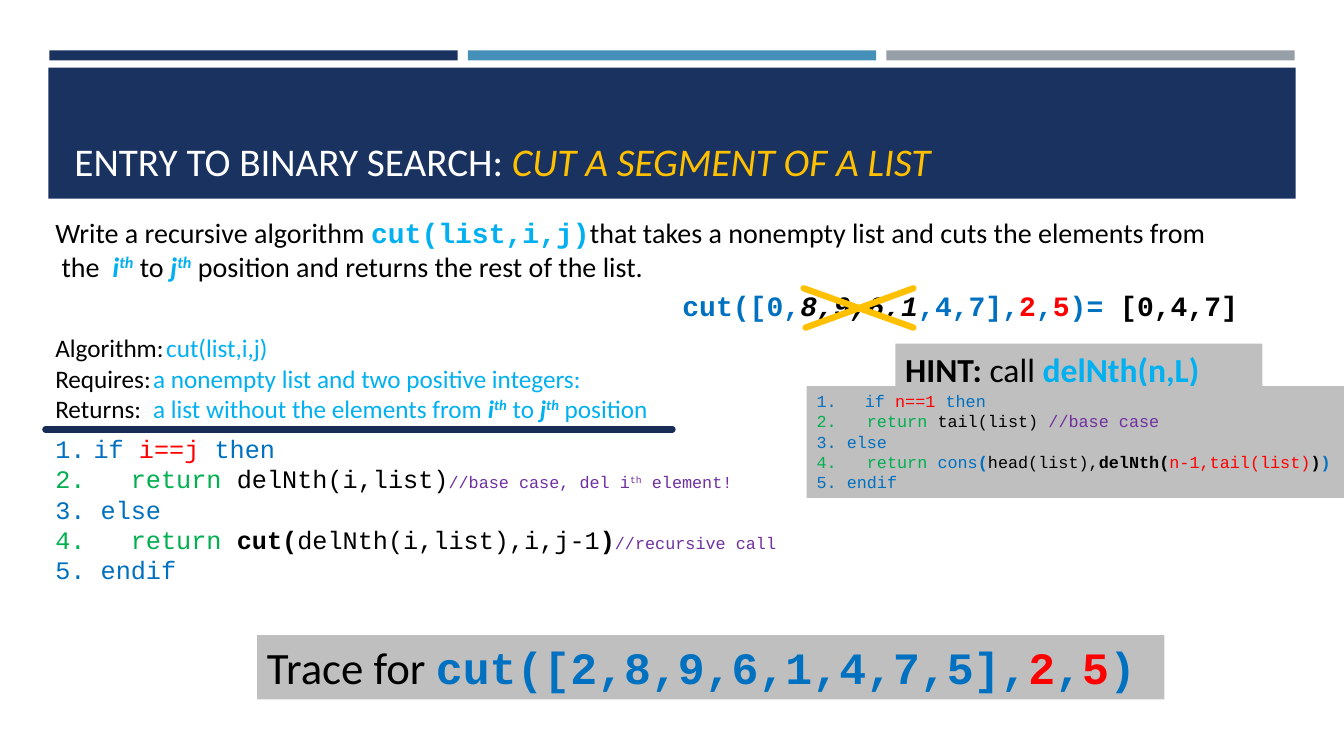
from lxml.etree import SubElement as Sub
from pptx import Presentation
from pptx.dml.color import RGBColor
from pptx.enum.shapes import MSO_CONNECTOR as Conn, MSO_SHAPE as Shape
from pptx.enum.text import MSO_ANCHOR as Anchor, MSO_AUTO_SIZE as Fit, PP_ALIGN as Align
from pptx.oxml.ns import qn
from pptx.util import Inches, Pt

NAVY, BLACK, WHITE, GREY = "1A3260", "000000", "FFFFFF", "BFBFBF"
GOLD, SKY, BLUE, RED = "FFC000", "00B0F0", "0070C0", "FF0000"
GREEN, PLUM = "00B050", "7030A0"


def color(code):
    return RGBColor.from_string(code)


def bar(slide, x, y, w, h, fill):
    shape = slide.shapes.add_shape(Shape.RECTANGLE, Inches(x), Inches(y), Inches(w), Inches(h))
    shape.shadow.inherit = False
    shape.fill.solid()
    shape.fill.fore_color.rgb = color(fill)
    shape.line.fill.background()
    return shape


def stroke(slide, x, y, end, low, tint):
    line = slide.shapes.add_connector(Conn.STRAIGHT, Inches(x), Inches(y), Inches(end), Inches(low))
    line.line.color.rgb = color(tint)
    line.line.width = Pt(4.5)
    line.line._get_or_add_ln().set("cap", "rnd")
    Sub(line._element.spPr, qn("a:effectLst"))


def number(par):
    props = par._p.get_or_add_pPr()
    props.set("marL", str(Inches(0.38)))
    props.set("indent", str(-Inches(0.38)))
    Sub(props, qn("a:buFont"), typeface="+mj-lt")
    Sub(props, qn("a:buAutoNum"), type="arabicPeriod")


def write(shape, lines, size, face="Calibri", listed=False):
    frame = shape.text_frame
    frame.word_wrap = False
    frame.auto_size = Fit.SHAPE_TO_FIT_TEXT
    frame.vertical_anchor = Anchor.TOP
    for row, runs in enumerate(lines):
        par = frame.paragraphs[0] if row == 0 else frame.add_paragraph()
        par.alignment = Align.LEFT
        if listed and row == 0:
            number(par)
        for words, tint, *rest in runs:
            flags = rest[0] if rest else ""
            run = par.add_run()
            run.text = words
            font = run.font
            font.name = "Courier New" if "m" in flags else face
            font.size = Pt(12 if "s" in flags else size)
            font.bold = "b" in flags
            font.italic = "i" in flags
            font.color.rgb = color(tint)
            if "^" in flags:
                font._element.set("baseline", "30000")


def label(slide, x, y, w, h, lines, size, **style):
    box = slide.shapes.add_textbox(Inches(x), Inches(y), Inches(w), Inches(h))
    write(box, lines, size, **style)
    return box


def panel(slide, x, y, w, h, lines, size, **style):
    write(bar(slide, x, y, w, h, GREY), lines, size, **style)


def header(slide, x, y, w):
    for col, tint in enumerate((NAVY, "4590B8", "969FA7")):
        bar(slide, x + col * 4.15, y, 4.05, 0.1, tint)
    bar(slide, x - 0.01, y + 0.17, w, 1.3, NAVY)
    title = label(slide, x + 0.15, y + 0.27, w - 0.31, 1.11, [[
        ("ENTRY TO BINARY SEARCH: ", WHITE), ("CUT A SEGMENT OF A LIST", GOLD, "i")]], 28)
    title.text_frame.auto_size = Fit.NONE
    title.text_frame.word_wrap = True
    title.text_frame.vertical_anchor = Anchor.BOTTOM


def task(slide, x, y):
    label(slide, x, y, 11.73, 0.77, [
        [("Write a recursive algorithm ", BLACK), ("cut(list,i,j)", SKY, "mb"),
         ("that takes a nonempty list and cuts the elements from", BLACK)],
        [(" the  ", BLACK), ("i", SKY, "bi"), ("th", SKY, "bi^"), (" to ", BLACK),
         ("j", SKY, "bi"), ("th", SKY, "bi^"),
         (" position and returns the rest of the list.", BLACK)]], 20)


def sample(slide, x, y):
    label(slide, x, y, 5.83, 0.44, [[
        ("cut([0,", BLUE, "b"), ("8,9,6,1", BLACK, "bi"), (",4,7],", BLUE, "b"),
        ("2", RED, "b"), (",", BLUE, "b"), ("5", RED, "b"), (")= ", BLUE, "b"),
        ("[0,4,7]", BLACK, "b")]], 20, face="Courier New")
    for start, end in ((2.39, 1.32), (1.3, 2.39)):
        stroke(slide, x + start, y + 0.05, x + end, y + 0.44, GOLD)


def intro(slide, x, y):
    names = ("Algorithm:", "Requires:", "Returns:")
    label(slide, x, y, 1.33, 1.01, [[(name, BLACK)] for name in names], 18)
    label(slide, x + 1.1, y, 1.6, 0.4, [[("cut(list,i,j)", SKY)]], 18)
    label(slide, x + 0.97, y + 0.31, 4.8, 0.4,
          [[("a nonempty list and two positive integers:", SKY)]], 18)
    label(slide, x + 0.97, y + 0.6, 5.6, 0.4, [[
        ("a list without the elements from ", SKY), ("i", SKY, "bi"), ("th", SKY, "bi^"),
        (" to ", SKY), ("j", SKY, "bi"), ("th", SKY, "bi^"), (" position", SKY)]], 18)
    stroke(slide, x, y + 1.01, x + 6.22, y + 1.01, "172D56")


def code(slide, x, y):
    label(slide, x, y, 7.66, 1.62, [
        [("if ", BLUE), ("i==j ", RED), ("then", BLUE)],
        [("2.   return ", GREEN), ("delNth(i,list)", BLACK),
         ("//base case, del i", PLUM, "s"), ("th", PLUM, "s^"), (" element!", PLUM, "s")],
        [("3. else", BLUE)],
        [("4.   return ", GREEN), ("cut(", BLACK, "b"), ("delNth(i,list),i,j-1", BLACK),
         (")", BLACK, "b"), ("//recursive call", PLUM, "s")],
        [("5. endif", BLUE)]], 18, face="Courier New", listed=True)


def hint(slide, x, y):
    panel(slide, x + 0.88, y, 3.64, 0.5, [[
        ("HINT: ", BLACK, "b"), ("call ", BLACK), ("delNth(n,L)", SKY, "b")]], 24)
    panel(slide, x, y + 0.42, 5.39, 1.11, [
        [(" if ", BLUE), ("n==1 ", RED), ("then", BLUE)],
        [("2.   return ", GREEN), ("tail(list) ", BLACK), ("//base case", PLUM)],
        [("3. else", BLUE)],
        [("4.   return ", GREEN), ("cons", BLUE), ("(", BLUE, "b"), ("head(list),", BLACK),
         ("delNth(", BLACK, "b"), ("n-1,tail(list)", RED), (")", BLACK, "b"), (")", BLUE, "b")],
        [("5. endif", BLUE)]], 12, face="Courier New", listed=True)


def trace(slide, x, y):
    panel(slide, x, y, 9, 0.64, [[
        ("Trace for ", BLACK), ("cut([2,8,9,6,1,4,7,5],", BLUE, "mb"), ("2", RED, "mb"),
        (",", BLUE, "mb"), ("5", RED, "mb"), (")", BLUE, "mb")]], 32)


def main():
    deck = Presentation()
    deck.slide_width, deck.slide_height = Inches(13.33), Inches(7.5)
    slide = deck.slides.add_slide(deck.slide_layouts[6])
    header(slide, 0.49, 0.5, 12.37)
    task(slide, 0.45, 2.09)
    sample(slide, 6.67, 2.81)
    intro(slide, 0.45, 3.25)
    code(slide, 0.45, 4.25)
    hint(slide, 8, 3.41)
    trace(slide, 2.55, 6.3)
    deck.save("out.pptx")


if __name__ == "__main__":
    main()
